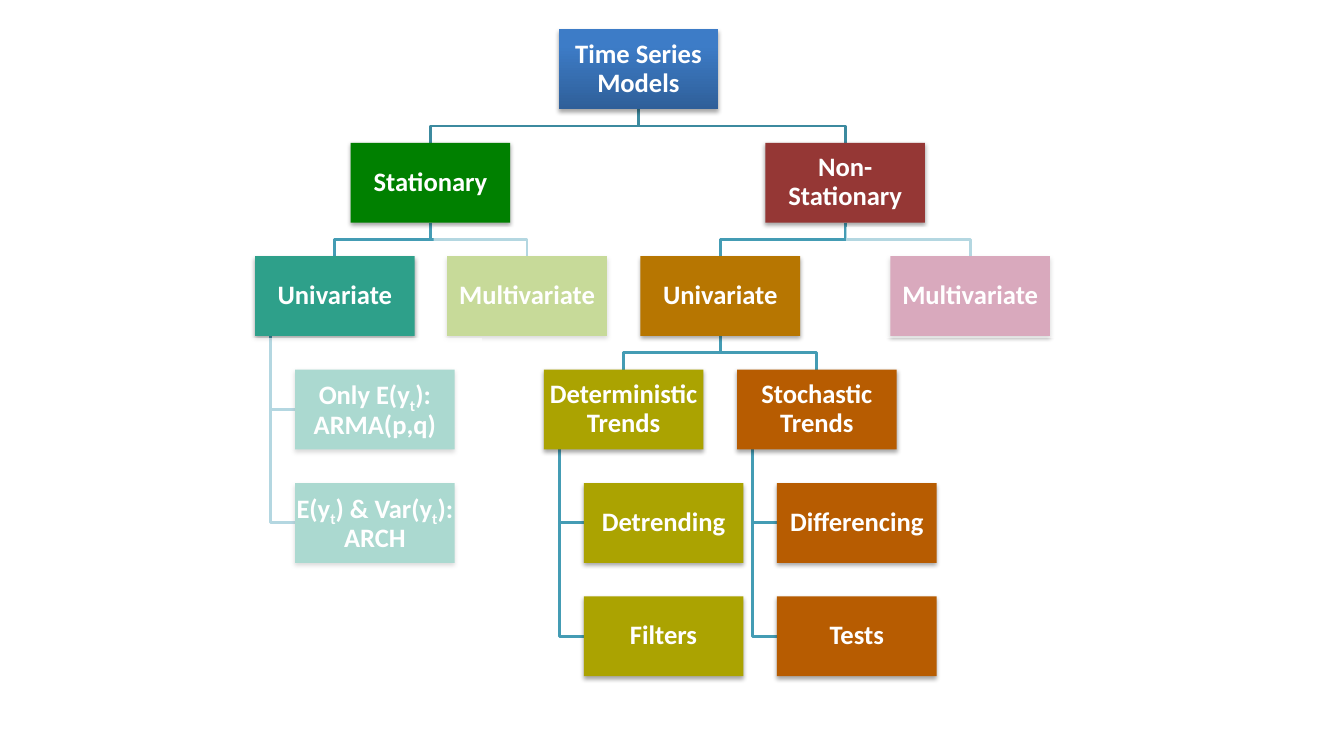
from dataclasses import dataclass

from lxml.etree import SubElement
from pptx import Presentation
from pptx.dml.color import RGBColor
from pptx.enum.shapes import MSO_SHAPE
from pptx.enum.text import MSO_ANCHOR, PP_ALIGN
from pptx.oxml.ns import qn
from pptx.util import Pt

PX = 9525
BOX_WIDTH, BOX_HEIGHT, ROW_GAP = 152, 76, 32
ROW_PITCH = BOX_HEIGHT + ROW_GAP
HANG_INDENT, TRUNK_INDENT = 38, 15
ROOT_FILL = ("2F5F99", "3D7CC7")
TEAL, OLIVE, RUST = "2EA08A", "ABA301", "B75C01"
WHITE = "FFFFFF"


@dataclass
class Model:
    """A box of the tree; left is in px from the tree's edge, underscores enclose subscripts."""
    text: str
    fill: str | tuple
    left: int
    branches: tuple = ()
    methods: tuple = ()
    link: str = "449CB4"


MODELS = Model("Time Series Models", ROOT_FILL, 289, link="3C8A9F", branches=(
    Model("Stationary", "008000", 91, (
        Model("Univariate", TEAL, 0,
              methods=("Only E(y_t_): ARMA(p,q)", "E(y_t_) & Var(y_t_): ARCH")),
        Model("Multivariate", "75A400", 183))),
    Model("Non-Stationary", "953735", 486, (
        Model("Univariate", "B77601", 367, (
            Model("Deterministic Trends", OLIVE, 275, methods=("Detrending", "Filters")),
            Model("Stochastic Trends", RUST, 459, methods=("Differencing", "Tests")))),
        Model("Multivariate", "A2285C", 605)))))

# Left, top, width and height within the tree
FADED_AREAS = ((170, 188, 174, 113), (563, 188, 204, 106), (-34, 294, 250, 272))


def color(hex_string):
    return RGBColor.from_string(hex_string)


def add_rectangle(slide, left, top, width, height):
    shape = slide.shapes.add_shape(
        MSO_SHAPE.RECTANGLE, left * PX, top * PX, width * PX, height * PX)
    shape.shadow.inherit = False
    shape.line.fill.background()
    return shape


def fill_box(shape, fill):
    if isinstance(fill, str):
        shape.fill.solid()
        shape.fill.fore_color.rgb = color(fill)
        return
    shape.fill.gradient()
    shape.fill.gradient_angle = 90
    for stop, position, shade in zip(shape.fill.gradient_stops, (0, 0.8), fill):
        stop.position = position
        stop.color.rgb = color(shade)


def cast_shadow(shape):
    effects = shape._element.spPr.find(qn("a:effectLst"))
    shadow = SubElement(effects, qn("a:outerShdw"), blurRad="40000", dist="23000",
                        dir="5400000", rotWithShape="0")
    black = SubElement(shadow, qn("a:srgbClr"), val="000000")
    SubElement(black, qn("a:alpha"), val="35000")


def write_label(shape, text):
    frame = shape.text_frame
    frame.word_wrap = True
    frame.vertical_anchor = MSO_ANCHOR.MIDDLE
    frame.margin_left = frame.margin_right = frame.margin_top = frame.margin_bottom = PX
    paragraph = frame.paragraphs[0]
    paragraph.alignment = PP_ALIGN.CENTER
    paragraph.line_spacing = 0.9
    font = paragraph.font
    font.name, font.size, font.bold = "Calibri", Pt(19), True
    font.color.rgb = color(WHITE)
    for index, part in enumerate(text.split("_")):
        run = paragraph.add_run()
        run.text = part
        if index % 2:
            run._r.get_or_add_rPr().set("baseline", "-25000")


def add_box(slide, left, top, text, fill):
    shape = add_rectangle(slide, left, top, BOX_WIDTH, BOX_HEIGHT)
    fill_box(shape, fill)
    cast_shadow(shape)
    write_label(shape, text)


def add_link(slide, points, line_color):
    builder = slide.shapes.build_freeform(*points[0], scale=PX)
    builder.add_line_segments(points[1:], close=False)
    shape = builder.convert_to_shape()
    shape.shadow.inherit = False
    shape.fill.background()
    shape.line.color.rgb = color(line_color)
    shape.line.width = Pt(2)


def draw_links(slide, model, left, top):
    bottom = top + BOX_HEIGHT
    center = left + model.left + BOX_WIDTH // 2
    middle = bottom + ROW_GAP // 2
    for branch in model.branches:
        branch_center = left + branch.left + BOX_WIDTH // 2
        add_link(slide, [(center, bottom), (center, middle), (branch_center, middle),
                         (branch_center, top + ROW_PITCH)], model.link)
        draw_links(slide, branch, left, top + ROW_PITCH)
    trunk = left + model.left + TRUNK_INDENT
    for row in range(1, len(model.methods) + 1):
        level = top + row * ROW_PITCH + BOX_HEIGHT // 2
        add_link(slide, [(trunk, bottom), (trunk, level),
                         (left + model.left + HANG_INDENT, level)], model.link)


def draw_boxes(slide, model, left, top):
    add_box(slide, left + model.left, top, model.text, model.fill)
    for row, method in enumerate(model.methods, 1):
        add_box(slide, left + model.left + HANG_INDENT, top + row * ROW_PITCH,
                method, model.fill)
    for branch in model.branches:
        draw_boxes(slide, branch, left, top + ROW_PITCH)


def draw_veils(slide, left, top):
    """Fade the models that are out of focus with translucent white."""
    for area_left, area_top, width, height in FADED_AREAS:
        veil = add_rectangle(slide, left + area_left, top + area_top, width, height)
        veil.fill.solid()
        veil.fill.fore_color.rgb = color(WHITE)
        white = veil._element.spPr.find(qn("a:solidFill"))[0]
        SubElement(white, qn("a:alpha"), val="60000")


def draw_model_tree(slide, left, top):
    draw_links(slide, MODELS, left, top)
    draw_boxes(slide, MODELS, left, top)
    draw_veils(slide, left, top)


def main():
    presentation = Presentation()
    presentation.slide_width, presentation.slide_height = 1280 * PX, 720 * PX
    slide = presentation.slides.add_slide(presentation.slide_layouts[6])
    draw_model_tree(slide, 243, 28)
    presentation.save("out.pptx")


if __name__ == "__main__":
    main()
